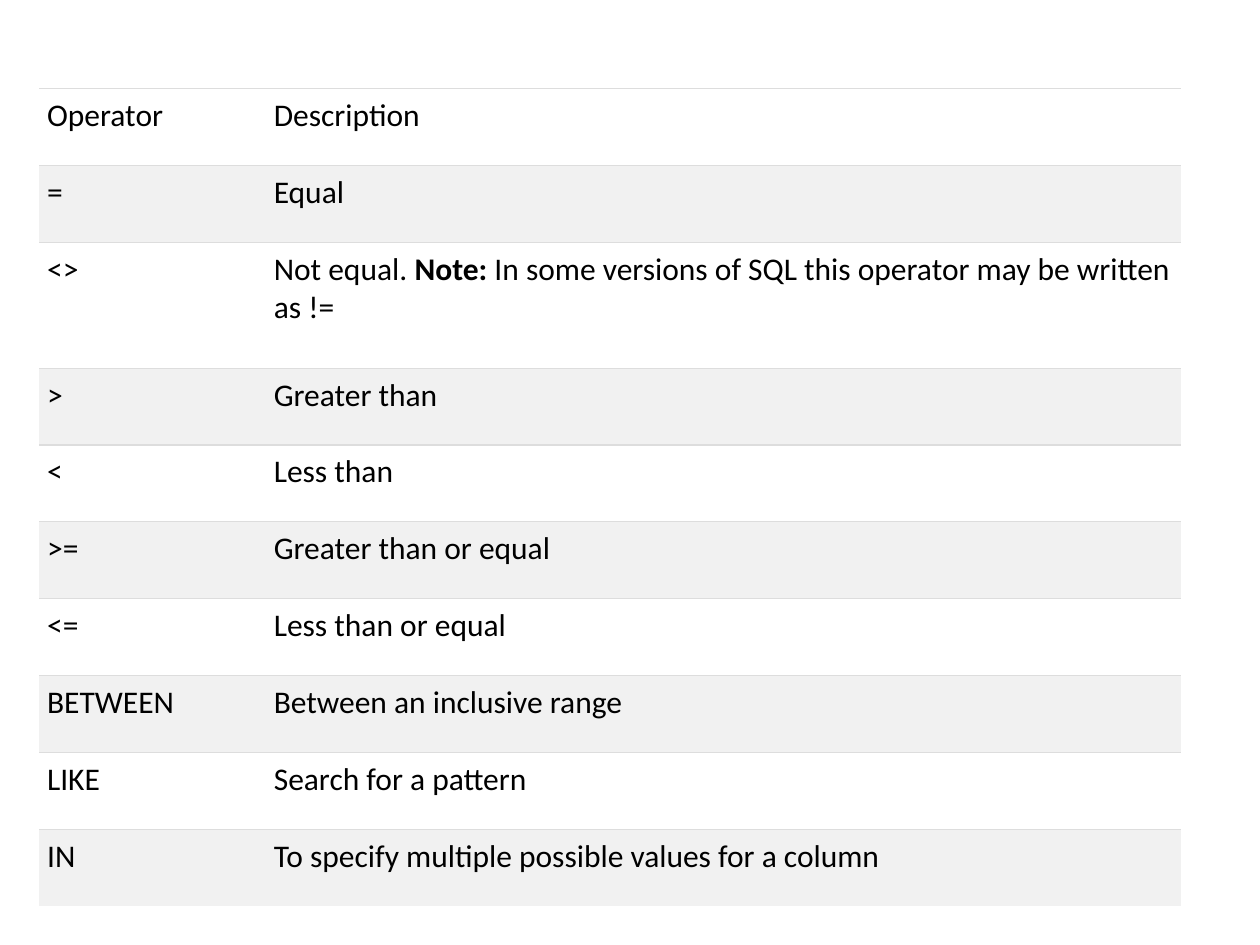
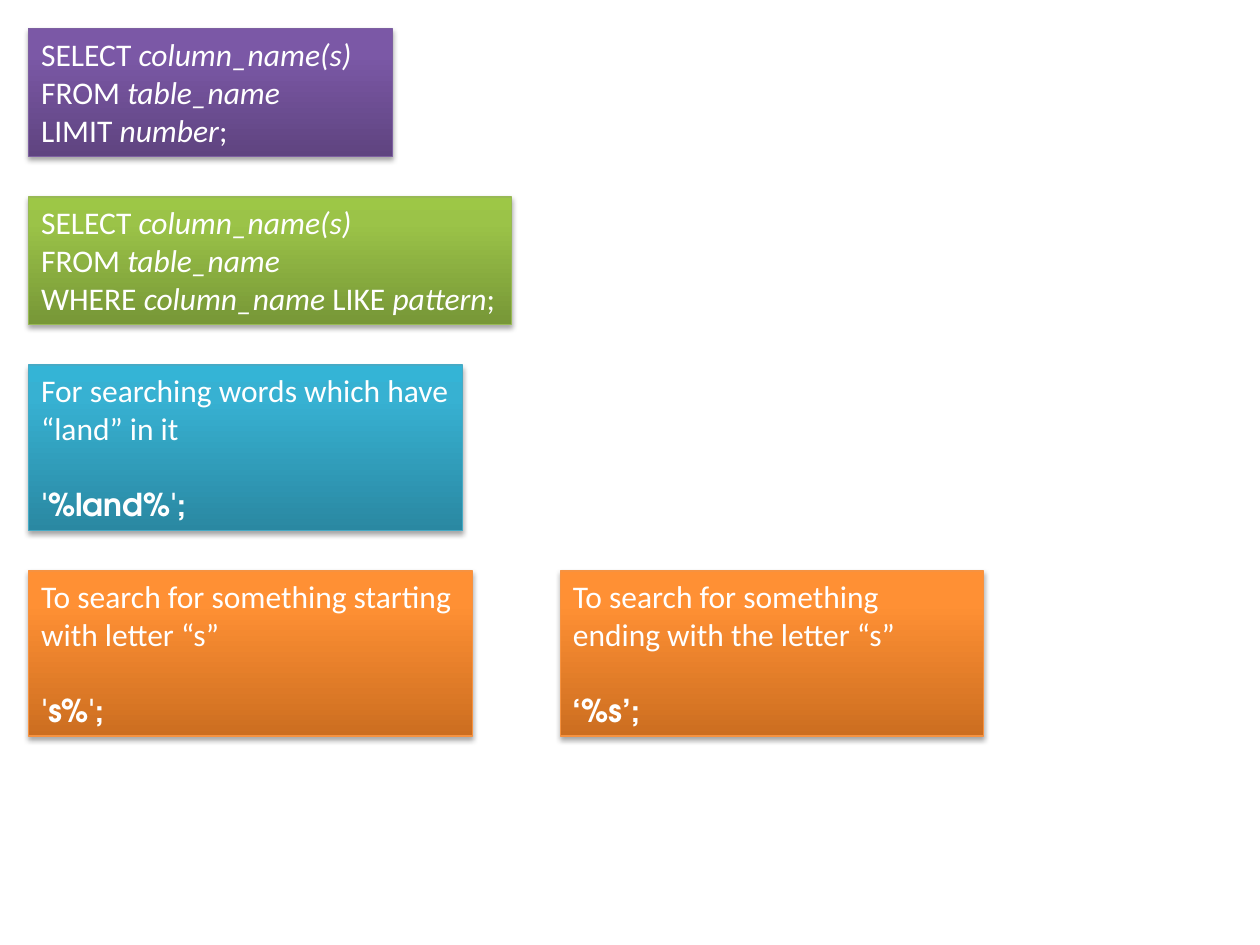
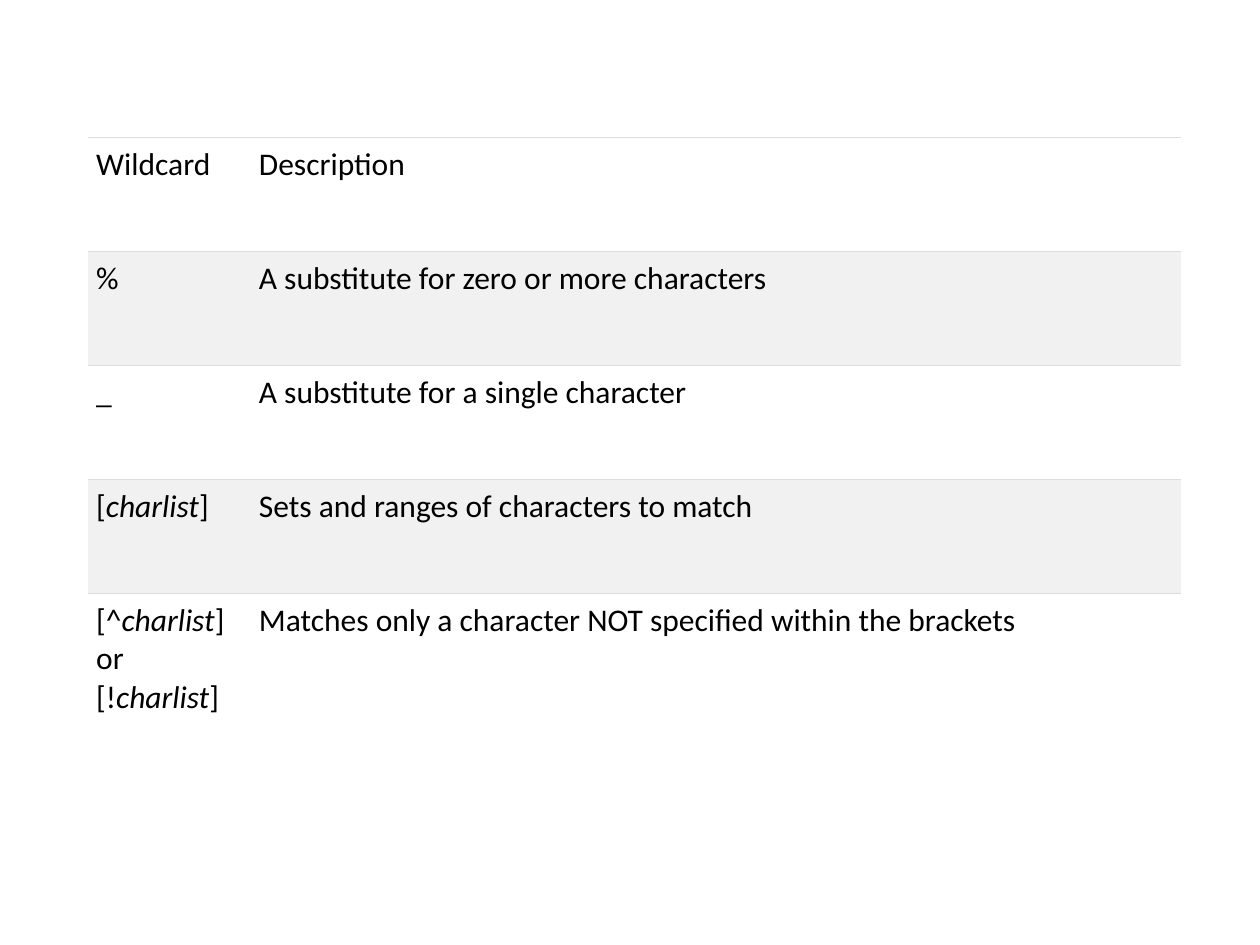
import copy
from dataclasses import dataclass
from typing import NamedTuple

import pptx
import pptx.dml.color
import pptx.enum.shapes
import pptx.enum.text
import pptx.oxml
import pptx.oxml.ns
import pptx.util

Cm = pptx.util.Cm
Pt = pptx.util.Pt
RGB = pptx.dml.color.RGBColor.from_string
qn = pptx.oxml.ns.qn
NS = pptx.oxml.ns.nsdecls("a")


class Gradient(NamedTuple):
    bottom: str
    middle: str
    top: str
    line: str


@dataclass(frozen=True)
class Theme:
    font: str = "Calibri"
    code_font: str = "TeX Gyre Adventor"
    size: float = 18
    code_gap: float = 21.6
    rule_width: float = 0.75
    black: str = "000000"
    white: str = "FFFFFF"
    stripe: str = "F1F1F1"
    rule: str = "DDDDDD"
    purple: Gradient = Gradient("5F4480", "7B58A6", "7C57A8", "7D60A0")
    green: Gradient = Gradient("779737", "9BC348", "9DC746", "98B955")
    blue: Gradient = Gradient("2A88A2", "37B1D2", "34B4D6", "46AAC5")
    orange: Gradient = Gradient("CC6E20", "FF9034", "FF9136", "F69240")


THEME = Theme()
BLANK_LAYOUT = 6
NO_TABLE_STYLE = "{2D5ABB26-0587-4C30-8999-92F81FD0307C}"
CELL_MARGIN = Cm(0.16)
BOX_LEFT, BOX_TOP, BOX_GAP = 0.58, 0.58, 0.82


class Part(NamedTuple):
    """A piece of text with its own font settings."""
    text: str
    font: dict = {}


Line = tuple[Part, ...]


class Box(NamedTuple):
    width: float
    colours: Gradient
    lines: list[Line]
    left: float = BOX_LEFT


class BoxRow(NamedTuple):
    height: float
    boxes: list[Box]


class TableSpec(NamedTuple):
    left: float
    top: float
    widths: list[float]
    heights: list[float]
    rows: list[tuple[Line, Line]]


def plain(text: str) -> Line:
    return (Part(text),)


def italic(text: str) -> Part:
    return Part(text, {"italic": True})


def search_lines(hint: str, pattern: str) -> list[Line]:
    return [plain(hint), (Part(pattern, {"bold": True, "name": THEME.code_font}),)]


SELECT_FROM = (Part("SELECT "), italic("column_name(s)\n"),
               Part("FROM "), italic("table_name\n"))

OPERATORS = TableSpec(
    0.79, 1.78, [4.57, 18.44], [1.55] * 2 + [2.54] + [1.55] * 7,
    [
        (plain("Operator"), plain("Description")),
        (plain("="), plain("Equal")),
        (plain("<>"), (
            Part("Not equal. "), Part("Note:", {"bold": True}),
            Part(" In some versions of SQL this operator may be written as !="))),
        (plain(">"), plain("Greater than")),
        (plain("<"), plain("Less than")),
        (plain(">="), plain("Greater than or equal")),
        (plain("<="), plain("Less than or equal")),
        (plain("BETWEEN"), plain("Between an inclusive range")),
        (plain("LIKE"), plain("Search for a pattern")),
        (plain("IN"), plain("To specify multiple possible values for a column")),
    ])

WILDCARDS = TableSpec(
    1.78, 2.77, [3.28, 18.75], [2.3] * 4 + [5.28],
    [
        (plain("Wildcard"), plain("Description")),
        (plain("%"), plain("A substitute for zero or more characters")),
        (plain("_"), plain("A substitute for a single character")),
        ((Part("["), italic("charlist"), Part("]")),
         plain("Sets and ranges of characters to match")),
        ((Part("[^"), italic("charlist"), Part("]\nor\n[!"),
          italic("charlist"), Part("]")),
         plain("Matches only a character NOT specified within the brackets")),
    ])

SYNTAX_ROWS = [
    BoxRow(2.57, [Box(7.34, THEME.purple, [
        SELECT_FROM + (Part("LIMIT "), italic("number"), Part(";"))])]),
    BoxRow(2.57, [Box(9.73, THEME.green, [
        SELECT_FROM + (Part("WHERE "), italic("column_name"), Part(" LIKE "),
                       italic("pattern"), Part(";"))])]),
    BoxRow(3.33, [Box(8.74, THEME.blue, search_lines(
        "For searching words which have “land” in it", "'%land%';"))]),
    BoxRow(3.33, [
        Box(8.94, THEME.orange, search_lines(
            "To search for something starting with letter “s”", "'s%';")),
        Box(8.53, THEME.orange, search_lines(
            "To search for something ending with the letter “s”", "‘%s’;"), 11.3),
    ]),
]


def set_attrs(target, values: dict) -> None:
    for name, value in values.items():
        setattr(target, name, value)


def write(tf, lines: list[Line], colour: str) -> None:
    """Write one paragraph per line; a newline in a part is a line break."""
    for n, line in enumerate(lines):
        p = tf.add_paragraph() if n else tf.paragraphs[0]
        p.alignment = pptx.enum.text.PP_ALIGN.LEFT
        if n:
            p.space_before = Pt(THEME.code_gap)
        for part in line:
            for k, text in enumerate(part.text.split("\n")):
                if k:
                    p.add_line_break()
                if text:
                    r = p.add_run()
                    r.text = text
                    base = {"name": THEME.font, "size": Pt(THEME.size)}
                    set_attrs(r.font, base | part.font)
                    r.font.color.rgb = RGB(colour)


def add_rule(cell, tag: str) -> None:
    cell._tc.get_or_add_tcPr().append(pptx.oxml.parse_xml(
        f'<a:{tag} {NS} w="{Pt(THEME.rule_width)}"><a:solidFill>'
        f'<a:srgbClr val="{THEME.rule}"/></a:solidFill></a:{tag}>'))


def add_striped_table(slide, spec: TableSpec) -> None:
    frame = slide.shapes.add_table(
        len(spec.rows), len(spec.widths), Cm(spec.left), Cm(spec.top),
        Cm(sum(spec.widths)), Cm(sum(spec.heights)))
    table = frame.table
    set_attrs(table, {"first_row": False, "horz_banding": False})
    table._tbl.tblPr.find(qn("a:tableStyleId")).text = NO_TABLE_STYLE
    for column, width in zip(table.columns, spec.widths):
        column.width = Cm(width)
    for n, (row, height, texts) in enumerate(zip(table.rows, spec.heights, spec.rows)):
        row.height = Cm(height)
        for cell, line in zip(row.cells, texts):
            set_attrs(cell, {f"margin_{side}": CELL_MARGIN
                             for side in ("left", "right", "top", "bottom")})
            add_rule(cell, "lnT")
            if n < len(spec.rows) - 1:
                add_rule(cell, "lnB")
            cell.fill.solid()
            cell.fill.fore_color.rgb = RGB(THEME.stripe if n % 2 else THEME.white)
            write(cell.text_frame, [line], THEME.black)


def paint(sp, colours: Gradient) -> None:
    """Give a shape its three-stop gradient, outline and soft shadow."""
    sp.fill.gradient()
    sp.fill.gradient_angle = 90
    first = sp._element.spPr.find(".//" + qn("a:gs"))
    first.addnext(copy.deepcopy(first))
    stops = zip(sp.fill.gradient_stops, (0, 0.8, 1), colours[:3])
    for stop, position, colour in stops:
        stop.position = position
        stop.color.rgb = RGB(colour)
    sp.line.color.rgb = RGB(colours.line)
    sp.line.width = Pt(THEME.rule_width)
    sp.shadow.inherit = False
    sp._element.spPr.find(qn("a:effectLst")).append(pptx.oxml.parse_xml(
        f'<a:outerShdw {NS} blurRad="{Pt(3.1)}" dist="{Pt(1.8)}" dir="5400000" '
        f'rotWithShape="0"><a:srgbClr val="{THEME.black}">'
        '<a:alpha val="35000"/></a:srgbClr></a:outerShdw>'))


def add_box(slide, box: Box, top: float, height: float) -> None:
    sp = slide.shapes.add_shape(
        pptx.enum.shapes.MSO_SHAPE.RECTANGLE,
        Cm(box.left), Cm(top), Cm(box.width), Cm(height))
    paint(sp, box.colours)
    tf = sp.text_frame
    set_attrs(tf, {
        "word_wrap": True,
        "auto_size": pptx.enum.text.MSO_AUTO_SIZE.SHAPE_TO_FIT_TEXT,
        "vertical_anchor": pptx.enum.text.MSO_ANCHOR.TOP,
    })
    write(tf, box.lines, THEME.white)


def add_box_rows(slide, rows: list[BoxRow]) -> None:
    top = BOX_TOP
    for row in rows:
        for box in row.boxes:
            add_box(slide, box, top, row.height)
        top += row.height + BOX_GAP


def main() -> None:
    prs = pptx.Presentation()
    set_attrs(prs, {"slide_width": Cm(25.4), "slide_height": Cm(19.05)})
    pages = [(add_striped_table, OPERATORS),
             (add_box_rows, SYNTAX_ROWS),
             (add_striped_table, WILDCARDS)]
    for draw, content in pages:
        draw(prs.slides.add_slide(prs.slide_layouts[BLANK_LAYOUT]), content)
    prs.save("out.pptx")


if __name__ == "__main__":
    main()
